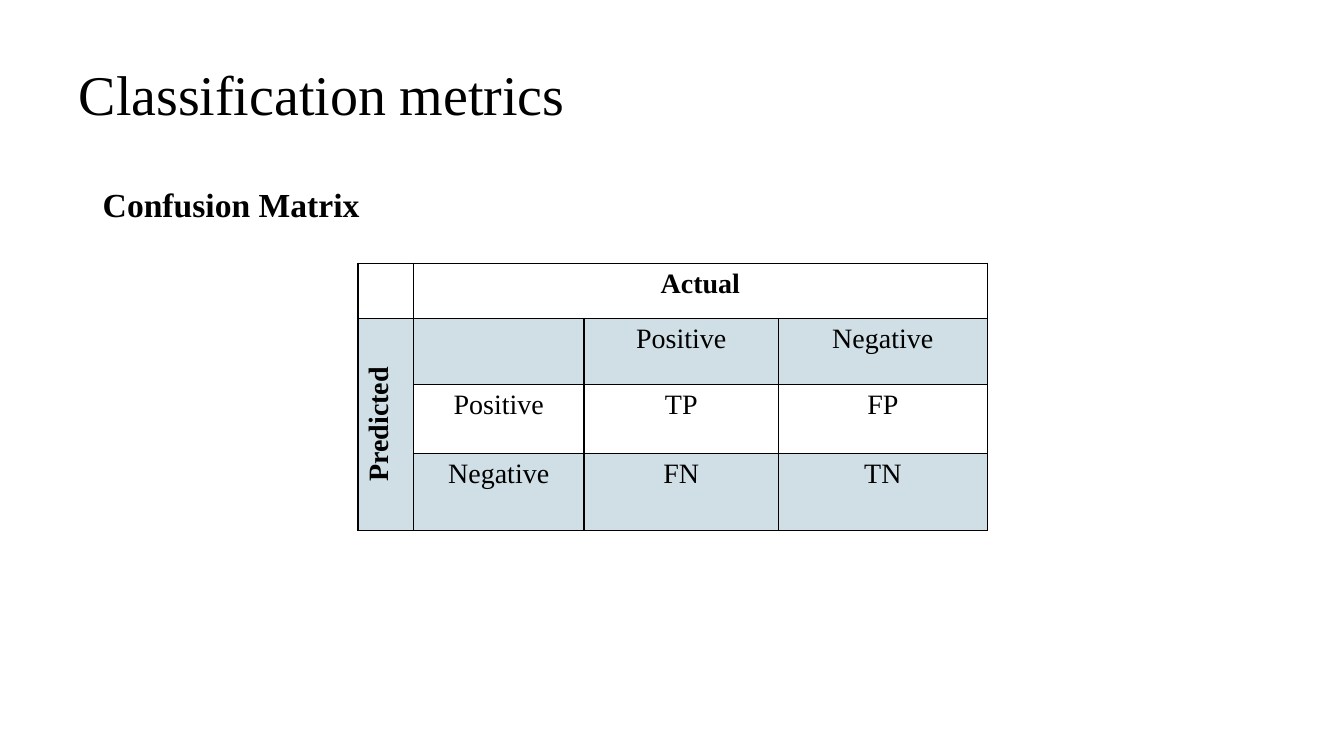
from dataclasses import dataclass

from lxml import etree
from pptx import Presentation
from pptx.dml.color import RGBColor
from pptx.enum.text import MSO_ANCHOR, MSO_AUTO_SIZE, PP_ALIGN
from pptx.oxml.ns import qn
from pptx.util import Cm, Pt

LEFT, CENTER = PP_ALIGN.LEFT, PP_ALIGN.CENTER
MIDDLE = MSO_ANCHOR.MIDDLE
NO_FIT, GROW = MSO_AUTO_SIZE.NONE, MSO_AUTO_SIZE.SHAPE_TO_FIT_TEXT
TITLE_ONLY = 5


@dataclass(frozen=True)
class Theme:
    font: str = "Times New Roman"
    ink: str = "000000"
    band: str = "156082"
    band_opacity: int = 20  # percent
    border: float = 1
    title_size: int = 40
    heading_size: int = 24
    table_size: int = 20


class MetricsSlide:
    def __init__(self, deck, theme):
        self.theme = theme
        self.slide = deck.slides.add_slide(deck.slide_layouts[TITLE_ONLY])

    def add_text(self, frame, text, size, bold=False, align=LEFT):
        paragraph = frame.paragraphs[0]
        paragraph.alignment = align
        run = paragraph.add_run()
        run.text = text
        run.font.name = self.theme.font
        run.font.size = Pt(size)
        run.font.bold = bold
        run.font.color.rgb = RGBColor.from_string(self.theme.ink)
        return paragraph

    def title(self, text, left, top, width, height):
        title = self.slide.shapes.title
        title.left, title.top = Cm(left), Cm(top)
        title.width, title.height = Cm(width), Cm(height)
        frame = title.text_frame
        frame.auto_size = NO_FIT
        frame.vertical_anchor = MIDDLE
        self.add_text(frame, text, self.theme.title_size).line_spacing = 0.9

    def heading(self, text, left, top, width, height):
        heading = self.slide.shapes.add_textbox(Cm(left), Cm(top), Cm(width), Cm(height))
        frame = heading.text_frame
        frame.word_wrap = True
        frame.auto_size = GROW
        self.add_text(frame, text, self.theme.heading_size, bold=True)

    def table(self, left, top, widths, heights):
        table = self.slide.shapes.add_table(
            len(heights), len(widths), Cm(left), Cm(top),
            Cm(sum(widths)), Cm(sum(heights))).table
        table.first_row = table.horz_banding = False
        for column, width in zip(table.columns, widths):
            column.width = Cm(width)
        for row, height in zip(table.rows, heights):
            row.height = Cm(height)
        return table

    def cell(self, cell, text, banded, bold):
        if banded:
            cell.fill.solid()
            cell.fill.fore_color.rgb = RGBColor.from_string(self.theme.band)
        else:
            cell.fill.background()
        properties = cell._tc.get_or_add_tcPr()
        if banded:
            color = properties.find(".//" + qn("a:srgbClr"))
            etree.SubElement(color, qn("a:alpha"), val=str(self.theme.band_opacity * 1000))
        # Border lines come before the fill
        for position, side in enumerate(("a:lnL", "a:lnR", "a:lnT", "a:lnB")):
            line = etree.Element(qn(side), w=str(Pt(self.theme.border)))
            fill = etree.SubElement(line, qn("a:solidFill"))
            etree.SubElement(fill, qn("a:srgbClr"), val=self.theme.ink)
            properties.insert(position, line)
        if text:
            self.add_text(cell.text_frame, text, self.theme.table_size, bold, CENTER)

    def confusion_matrix(self, rows, axis_labels, left, top, widths, heights):
        matrix = self.table(left, top, widths, heights)
        for row, texts in enumerate(rows):
            for column, text in enumerate(texts):
                self.cell(matrix.cell(row, column), text,
                          banded=row % 2 == 1 or (row > 0 and column == 0),
                          bold=text in axis_labels)
        # Axis labels span the classes
        matrix.cell(0, 1).merge(matrix.cell(0, len(widths) - 1))
        predicted = matrix.cell(1, 0)
        predicted.merge(matrix.cell(len(heights) - 1, 0))
        predicted._tc.get_or_add_tcPr().set("vert", "vert270")


def main():
    deck = Presentation()
    deck.slide_width, deck.slide_height = Cm(33.87), Cm(19.05)
    metrics = MetricsSlide(deck, Theme())

    # Title and heading
    metrics.title("Classification metrics", 1.73, 1.22, 29.21, 2.46)
    metrics.heading("Confusion Matrix", 2.34, 4.52, 8.92, 1.27)

    # Confusion matrix
    metrics.confusion_matrix(
        [["", "Actual", "", ""],
         ["Predicted", "", "Positive", "Negative"],
         ["", "Positive", "TP", "FP"],
         ["", "Negative", "FN", "TN"]],
        axis_labels=("Actual", "Predicted"),
        left=9.02, top=6.63,
        widths=(1.4, 4.3, 4.9, 5.26),
        heights=(1.4, 1.65, 1.75, 1.93))

    deck.save("out.pptx")


if __name__ == "__main__":
    main()
